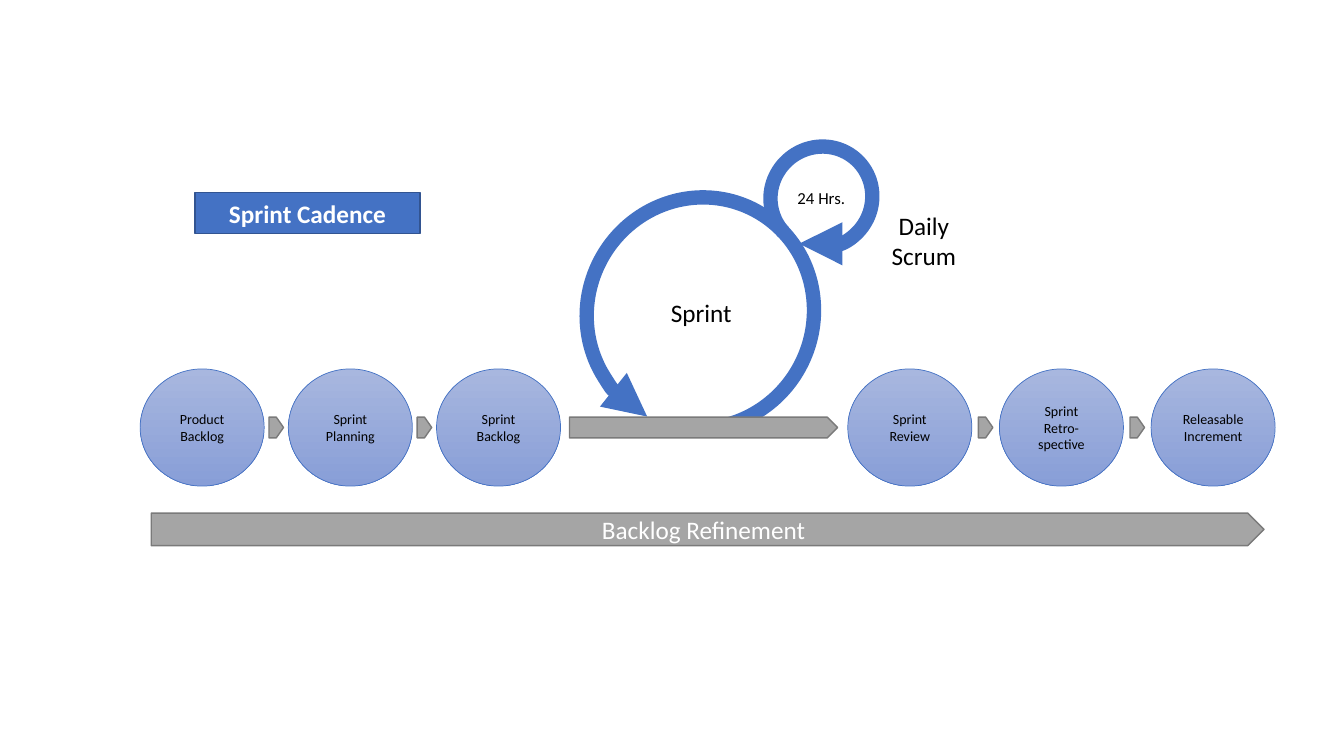
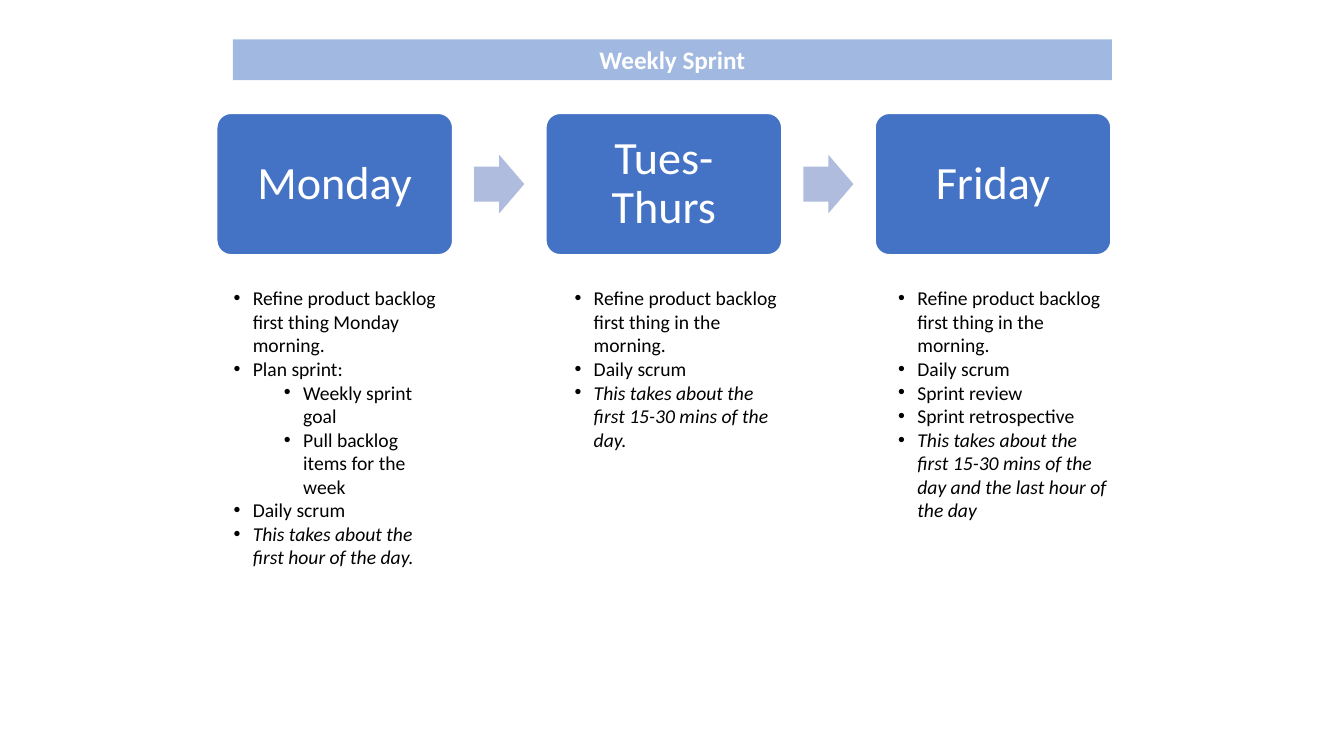
from dataclasses import dataclass

import lxml.etree
import pptx
import pptx.dml.color
import pptx.enum.shapes
import pptx.enum.text
import pptx.oxml.ns
import pptx.util

SHAPE = pptx.enum.shapes.MSO_SHAPE
ANCHOR = pptx.enum.text.MSO_ANCHOR
CENTER = pptx.enum.text.PP_ALIGN.CENTER
LEFT = pptx.enum.text.PP_ALIGN.LEFT
SLIDE_WIDTH = pptx.util.Inches(13.333)
SLIDE_HEIGHT = pptx.util.Inches(7.5)
TITLE_ONLY, COMPARISON = 5, 4


@dataclass(frozen=True)
class Theme:
    """Colours, font and type sizes shared by both slides."""
    font: str = "Calibri"
    blue: str = "4472C4"
    blue_edge: str = "325491"
    band: str = "A1B8E1"
    pale_arrow: str = "B0BCDE"
    stage_top: str = "A8B7DF"
    stage_bottom: str = "889ED7"
    grey: str = "A5A5A5"
    grey_edge: str = "7A7A7A"
    white: str = "FFFFFF"
    black: str = "000000"
    stage_size: int = 10
    note_size: int = 12
    list_size: int = 14
    title_size: int = 18
    day_size: int = 33


@dataclass(frozen=True)
class Box:
    """A rectangle in percent of the slide's width and height."""
    left: float
    top: float
    width: float
    height: float

    def inner(self, left, top, width, height):
        """Return an inner box, given in percent of this one."""
        return Box(self.left + self.width * left / 100, self.top + self.height * top / 100,
                   self.width * width / 100, self.height * height / 100)

    def emu(self):
        """Return left, top, width and height in EMU."""
        return (int(self.left * SLIDE_WIDTH / 100), int(self.top * SLIDE_HEIGHT / 100),
                int(self.width * SLIDE_WIDTH / 100), int(self.height * SLIDE_HEIGHT / 100))


THEME = Theme()


def rgb(code):
    """Turn a hex code into a colour."""
    return pptx.dml.color.RGBColor.from_string(code)


def style_paragraph(paragraph, size, color, bold=False, italic=False, align=CENTER):
    """Give one paragraph its font and alignment."""
    paragraph.alignment = align
    paragraph.space_before = pptx.util.Pt(0)
    font = paragraph.font
    font.name, font.size = THEME.font, pptx.util.Pt(size)
    font.bold, font.italic = bold, italic
    font.color.rgb = rgb(color)


def write(frame, text, size, color, bold=False, anchor=ANCHOR.MIDDLE):
    """Put one centred paragraph into a text frame."""
    frame.text = text
    frame.word_wrap = True
    frame.vertical_anchor = anchor
    style_paragraph(frame.paragraphs[0], size, color, bold)


def paint(shape, fill, edge=None, edge_width=1):
    """Set a plain fill and an optional outline."""
    shape.fill.solid()
    shape.fill.fore_color.rgb = rgb(fill)
    outline(shape, edge, edge_width)


def outline(shape, edge, edge_width):
    """Draw the outline, or none at all."""
    if edge:
        shape.line.color.rgb = rgb(edge)
        shape.line.width = pptx.util.Pt(edge_width)
    else:
        shape.line.fill.background()


def add_preset(slide, preset, box):
    """Add a preset shape without a shadow."""
    shape = slide.shapes.add_shape(preset, *box.emu())
    shape.shadow.inherit = False
    return shape


def place(placeholder, box):
    """Move a placeholder to a box and switch off its autofit."""
    placeholder.left, placeholder.top, placeholder.width, placeholder.height = box.emu()
    placeholder.text_frame.auto_size = pptx.enum.text.MSO_AUTO_SIZE.NONE


def title_band(slide, box, text, fill, edge=None):
    """Turn the title placeholder into a filled band."""
    title = slide.shapes.title
    place(title, box)
    paint(title, fill, edge)
    write(title.text_frame, text, THEME.title_size, THEME.white, bold=True)


def label(slide, box, text, size):
    """Add a centred label."""
    frame = slide.shapes.add_textbox(*box.emu()).text_frame
    write(frame, text, size, THEME.black, anchor=ANCHOR.TOP)


def grey_pointer(slide, box):
    """Add a grey pentagon arrow."""
    pointer = add_preset(slide, SHAPE.PENTAGON, box)
    paint(pointer, THEME.grey, THEME.grey_edge)
    return pointer


def pale_arrow(slide, box):
    """Add the pale arrow between two days."""
    arrow = add_preset(slide, SHAPE.RIGHT_ARROW, box)
    arrow.adjustments[0] = 0.6
    paint(arrow, THEME.pale_arrow)


def stage(slide, box, name):
    """Add a shaded circle for one Scrum stage."""
    circle = add_preset(slide, SHAPE.OVAL, box)
    circle.fill.gradient()
    circle.fill.gradient_angle = 270
    for stop, color in zip(circle.fill.gradient_stops, (THEME.stage_top, THEME.stage_bottom)):
        stop.color.rgb = rgb(color)
    outline(circle, THEME.blue, 0.5)
    write(circle.text_frame, name, THEME.stage_size, THEME.black)


def day_card(slide, box, name):
    """Add the rounded card that names a day."""
    card = add_preset(slide, SHAPE.ROUNDED_RECTANGLE, box)
    card.adjustments[0] = 0.1
    paint(card, THEME.blue, THEME.white)
    frame = card.text_frame
    frame.margin_left = frame.margin_right = pptx.util.Inches(0.15)
    write(frame, name, THEME.day_size, THEME.white)
    frame.paragraphs[0].line_spacing = 0.9


def chain(slide, box, names, item_width, add_item, link_size, add_link):
    """Spread items evenly over a box, with a link centred in each gap."""
    pitch = (box.width - item_width) / (len(names) - 1)
    link_width, link_height = link_size
    items = [Box(box.left + i * pitch, box.top, item_width, box.height)
             for i in range(len(names))]
    for item, name in zip(items, names):
        add_item(slide, item, name)
    for item in items[:-1]:
        add_link(slide, Box(item.left + (item_width + pitch - link_width) / 2,
                            box.top + (box.height - link_height) / 2,
                            link_width, link_height))
    return items


def loop(slide, box, rotation, arrow_end):
    """Add an almost closed ring with an arrowhead on one end."""
    ring = add_preset(slide, SHAPE.ARC, box)
    ring.adjustments[0], ring.adjustments[1] = 162, 148.86
    ring.rotation = rotation
    ring.fill.background()
    outline(ring, THEME.blue, 10.25)
    lxml.etree.SubElement(ring.line._get_or_add_ln(), pptx.oxml.ns.qn(arrow_end),
                          type="triangle")


def sprint_cycle(slide, box):
    """Draw the sprint loop with the daily loop on its shoulder."""
    loop(slide, box.inner(0, 17.9, 59.5, 82.1), 207.2, "a:headEnd")
    loop(slide, box.inner(48.4, 0, 26.5, 36.3), 227.4, "a:tailEnd")
    label(slide, box.inner(18.7, 51.6, 22.65, 14.4), "Sprint", THEME.title_size)
    label(slide, box.inner(77.3, 21, 22.65, 25.2), "Daily Scrum", THEME.title_size)
    label(slide, box.inner(50.3, 12.9, 22.65, 10.7), "24 Hrs.", THEME.note_size)


def bullet_list(placeholder, box, entries):
    """Fill a body placeholder with (text, level, italic) bullets."""
    place(placeholder, box)
    frame = placeholder.text_frame
    frame.word_wrap = True
    frame.vertical_anchor = ANCHOR.TOP
    frame.text = "\n".join(text for text, _, _ in entries)
    for paragraph, (_, level, italic) in zip(frame.paragraphs, entries):
        paragraph.level = level
        style_paragraph(paragraph, THEME.list_size, THEME.black, italic=italic, align=LEFT)
        properties = paragraph._p.get_or_add_pPr()
        properties.set("marL", str(pptx.util.Inches(0.19 + 0.5 * level)))
        properties.set("indent", str(pptx.util.Inches(-0.19)))
        for tag, attribute, value in (("a:buFont", "typeface", "Arial"), ("a:buChar", "char", "•")):
            bullet = lxml.etree.Element(pptx.oxml.ns.qn(tag), {attribute: value})
            properties.insert_element_before(bullet, "a:tabLst", "a:defRPr", "a:extLst")


def cadence_slide(deck):
    """Build the sprint cadence overview."""
    slide = deck.slides.add_slide(deck.slide_layouts[TITLE_ONLY])
    title_band(slide, Box(14.5, 25.5, 16.75, 5.4), "Sprint Cadence", THEME.blue, THEME.blue_edge)
    sprint_cycle(slide, Box(43.7, 19.3, 28.25, 37.5))
    before = ["Product Backlog", "Sprint Planning", "Sprint Backlog"]
    after = ["Sprint Review", "Sprint Retro-spective", "Releasable Increment"]
    for left, width, names in ((10.43, 31.28, before), (63.08, 31.8, after)):
        chain(slide, Box(left, 48.8, width, 15.5), names, 9.23, stage, (1.08, 2.75), grey_pointer)
    grey_pointer(slide, Box(42.38, 55.18, 19.95, 2.75))
    refinement = grey_pointer(slide, Box(11.25, 67.87, 82.8, 4.3))
    write(refinement.text_frame, "Backlog Refinement", THEME.title_size, THEME.white)


def week_slide(deck):
    """Build the weekly sprint plan with one list per day."""
    slide = deck.slides.add_slide(deck.slide_layouts[COMPARISON])
    title_band(slide, Box(17.33, 5.2, 65.4, 5.4), "Weekly Sprint", THEME.band)
    refine = ("Refine product backlog first thing in the morning.", 0, False)
    scrum = ("Daily scrum", 0, False)
    plans = {
        "Monday": (0.5, [("Refine product backlog first thing Monday morning.", 0, False),
                         ("Plan sprint:", 0, False),
                         ("Weekly sprint goal", 1, False),
                         ("Pull backlog items for the week", 1, False),
                         scrum,
                         ("This takes about the first hour of the day.", 0, True)]),
        "Tues-Thurs": (1.38, [refine, scrum,
                              ("This takes about the first 15-30 mins of the day.", 0, True)]),
        "Friday": (0.97, [refine, scrum,
                          ("Sprint review", 0, False),
                          ("Sprint retrospective", 0, False),
                          ("This takes about the first 15-30 mins of the day "
                           "and the last hour of the day", 0, True)]),
    }
    cards = chain(slide, Box(16.13, 15, 66.53, 18.7), list(plans), 17.55, day_card,
                  (3.72, 7.73), pale_arrow)
    *bodies, spare = list(slide.placeholders)[1:]
    for body, card, (shift, entries) in zip(bodies, cards, plans.values()):
        bullet_list(body, Box(card.left + shift, 37.2, 17.25, 39), entries)
    spare.element.getparent().remove(spare.element)


def main():
    """Build and save the deck."""
    deck = pptx.Presentation()
    deck.slide_width, deck.slide_height = SLIDE_WIDTH, SLIDE_HEIGHT
    cadence_slide(deck)
    week_slide(deck)
    deck.save("out.pptx")


main()
